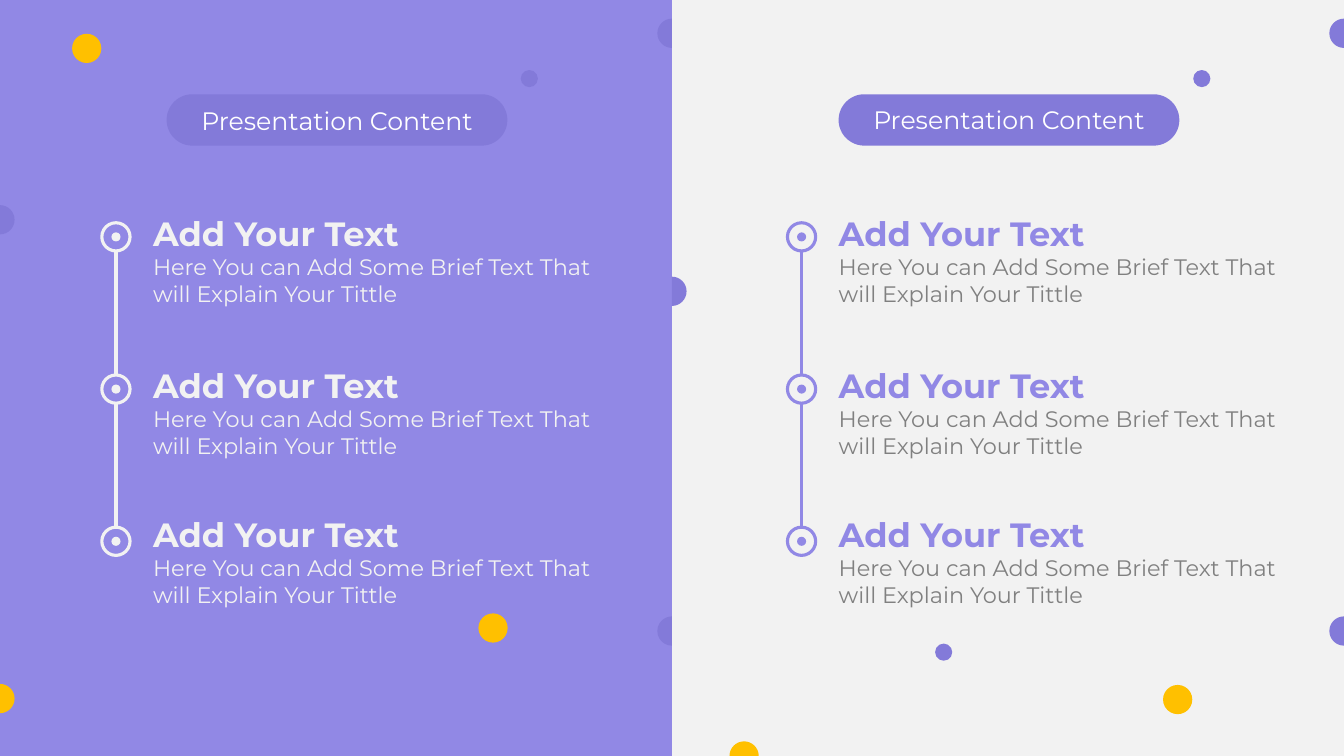
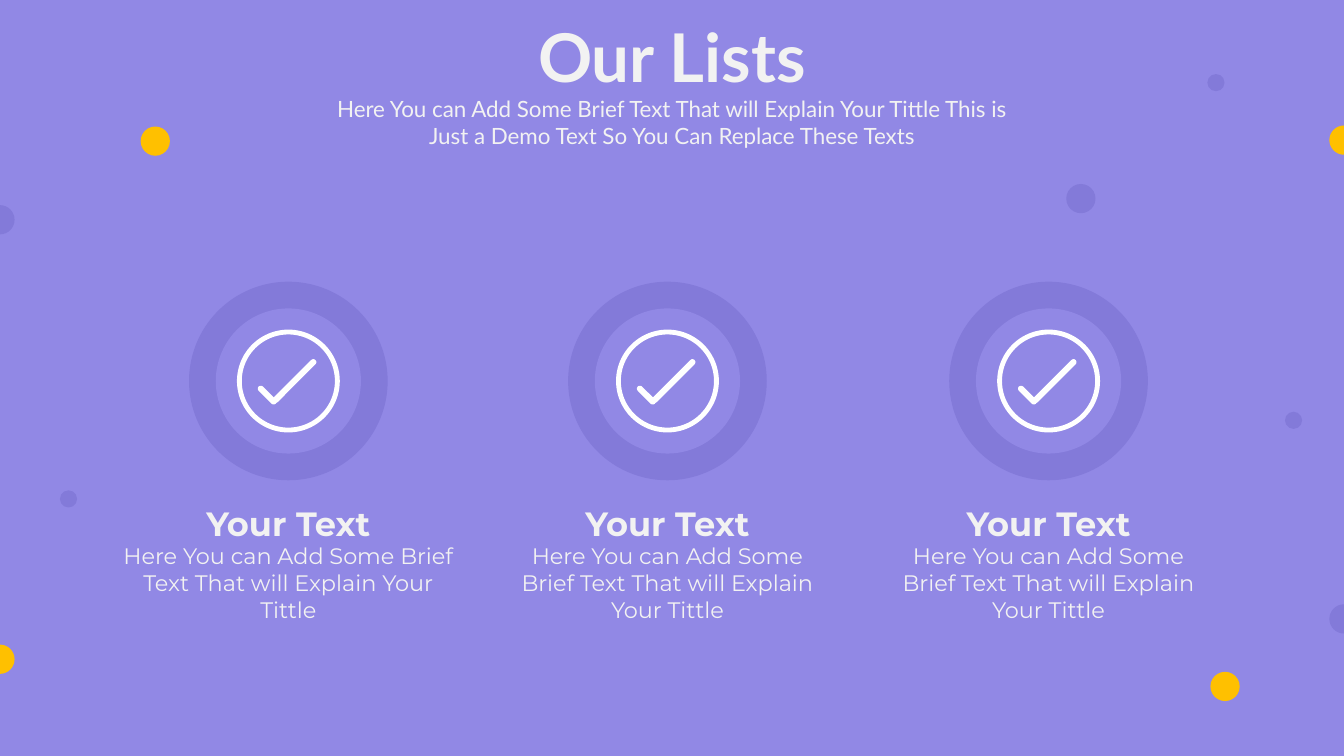
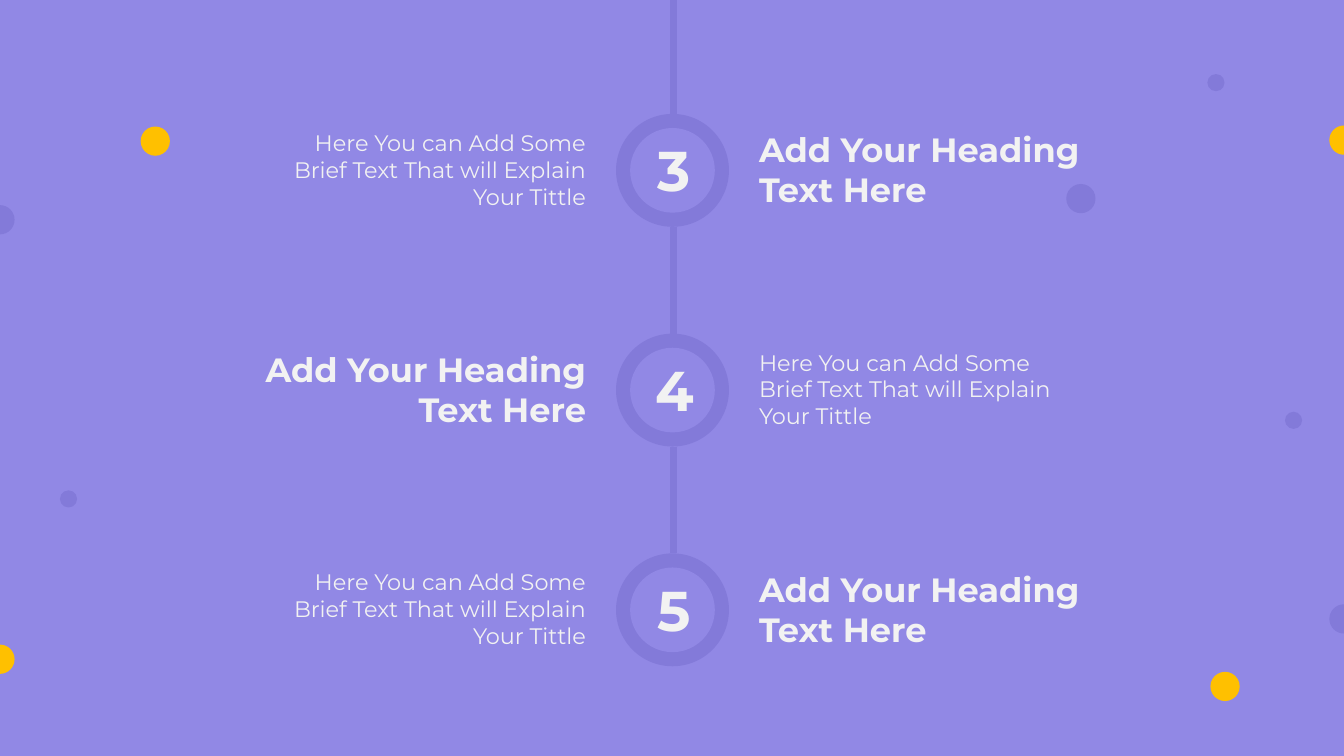
"""Build three purple list and timeline slides."""
from lxml import etree
from pptx import Presentation
from pptx.dml.color import RGBColor
from pptx.enum.shapes import MSO_CONNECTOR, MSO_SHAPE
from pptx.enum.text import MSO_ANCHOR, MSO_AUTO_SIZE, PP_ALIGN
from pptx.oxml.ns import qn
from pptx.util import Inches, Pt

WIDTH, HEIGHT = 13.33, 7.5
PURPLE, DARK, PALE, WHITE, GREY, YELLOW = "9188E5", "837AD9", "F2F2F2", "FFFFFF", "808080", "FFC000"
LEFT, CENTER, RIGHT = PP_ALIGN.LEFT, PP_ALIGN.CENTER, PP_ALIGN.RIGHT
OVAL, PILL, DONUT, RECTANGLE = (
    MSO_SHAPE.OVAL, MSO_SHAPE.ROUNDED_RECTANGLE, MSO_SHAPE.DONUT, MSO_SHAPE.RECTANGLE)
TOP, FIT, STRAIGHT = MSO_ANCHOR.TOP, MSO_AUTO_SIZE.SHAPE_TO_FIT_TEXT, MSO_CONNECTOR.STRAIGHT
STYLES = {
    "title": {"name": "Lato", "size": Pt(48), "bold": True},
    "subtitle": {"name": "Lato", "size": Pt(16), "bold": False},
    "label": {"name": "Montserrat", "size": Pt(18), "bold": False},
    "heading": {"name": "Montserrat", "size": Pt(24), "bold": True},
    "body": {"name": "Montserrat", "size": Pt(16), "bold": False},
    "number": {"name": "Montserrat", "size": Pt(40), "bold": True},
}
BRIEF = "Here You can Add Some Brief Text That will Explain Your Tittle"
BIG, SMALL = 0.29, 0.17
FACING_RIGHT, FACING_LEFT, FACING_UP = (1, 0), (-1, 0), (0, -1)
DOME_OUTLINE = ((-1, 0), (1, 0), (1, 0.55), (0.55, 1), (0, 1), (-0.55, 1), (-1, 0.55), (-1, 0))


def add_figure(slide, kind, center_x, center_y, width, height, fill=None, line=None, adjust=None):
    """Add a preset shape around its centre."""
    shape = slide.shapes.add_shape(
        kind, Inches(center_x - width / 2), Inches(center_y - height / 2), Inches(width), Inches(height))
    shape.shadow.inherit = False
    if adjust is not None:
        shape.adjustments[0] = adjust
    if fill:
        shape.fill.solid()
        shape.fill.fore_color.rgb = RGBColor.from_string(fill)
    else:
        shape.fill.background()
    if line:
        shape.line.color.rgb = RGBColor.from_string(line)
        shape.line.width = Pt(2.25)
    else:
        shape.line.fill.background()
    return shape


def add_text(slide, box, text, style, color=PALE, align=LEFT, placeholder=None):
    """Write one styled paragraph in a text box or placeholder, in front of the rest."""
    shape = slide.shapes.add_textbox(0, 0, 0, 0) if placeholder is None else placeholder
    slide.shapes.element.append(shape.element)
    for name, length in zip(("left", "top", "width", "height"), box):
        setattr(shape, name, Inches(length))
    frame = shape.text_frame
    for name, value in {"word_wrap": True, "auto_size": FIT, "vertical_anchor": TOP}.items():
        setattr(frame, name, value)
    paragraph = frame.paragraphs[0]
    paragraph.alignment = align
    paragraph.space_before = Pt(0)
    run = paragraph.add_run()
    run.text = text
    for name, value in STYLES[style].items():
        setattr(run.font, name, value)
    run.font.color.rgb = RGBColor.from_string(color)


presentation = Presentation()
presentation.slide_width = Inches(WIDTH)
presentation.slide_height = Inches(HEIGHT)
slides = []
for layout, background in ((5, PALE), (0, PURPLE), (6, PURPLE)):
    slide = presentation.slides.add_slide(presentation.slide_layouts[layout])
    slide.background.fill.solid()
    slide.background.fill.fore_color.rgb = RGBColor.from_string(background)
    slides.append(slide)
contents, lists, timeline = slides
spines = []

add_figure(contents, RECTANGLE, WIDTH / 4, HEIGHT / 2, WIDTH / 2, HEIGHT, PURPLE)
panels = (
    (WIDTH / 4, 1.15, PALE, PALE, contents.shapes.title),
    (WIDTH * 3 / 4, 7.95, PURPLE, GREY, None),
)
for pill_x, marker_x, accent, body_color, placeholder in panels:
    add_figure(contents, PILL, pill_x + 0.01, 1.19, 3.38, 0.51, DARK, adjust=0.5)
    add_text(contents, (pill_x - 1.62, 0.99, 3.26, 0.4), "Presentation Content", "label",
             WHITE, CENTER, placeholder)
    for row, text_top in enumerate((2.06, 3.57, 5.05)):
        marker_y = 2.35 + 1.51 * row
        add_figure(contents, OVAL, marker_x, marker_y, 0.09, 0.09, accent)
        add_figure(contents, OVAL, marker_x, marker_y, 0.28, 0.28, line=accent)
        if row:
            spines.append((contents, marker_x, marker_y - 1.37, marker_y - 0.14, accent, 2.25))
        text_left = marker_x + 0.27
        add_text(contents, (text_left, text_top, 3.62 if row == 0 else 2.78, 0.5),
                 "Add Your Text", "heading", accent)
        add_text(contents, (text_left, text_top + 0.4, 4.55, 0.64), BRIEF, "body", body_color)

for center_x, body_width in ((2.86, 3.49), (6.62, 3.41), (10.4, 3.41)):
    center_y = 3.78
    add_figure(lists, OVAL, center_x, center_y, 1.97, 1.97, DARK)
    add_figure(lists, OVAL, center_x, center_y, 1.44, 1.44, PURPLE)
    add_figure(lists, DONUT, center_x, center_y, 1.02, 1.02, WHITE, adjust=0.047)
    for shift_x, shift_y, length, angle in ((-0.21, 0.14, 0.24, 135), (0.06, 0, 0.59, 225)):
        stroke = add_figure(lists, PILL, center_x + shift_x, center_y + shift_y, 0.06, length,
                            WHITE, adjust=0.5)
        stroke.rotation = angle
    add_text(lists, (center_x - 1.13, 4.94, 2.26, 0.5), "Your Text", "heading", PALE, CENTER)
    add_text(lists, (center_x - body_width / 2, 5.33, body_width, 0.91), BRIEF, "body", PALE, CENTER)
add_figure(lists, RECTANGLE, 6.68, 6.95, 10.58, 1.1, PURPLE)
add_text(lists, (4.02, 0.1, 5.29, 0.91), "Our Lists", "title", PALE, CENTER, lists.shapes.title)
add_text(lists, (3.19, 0.89, 6.95, 0.64),
         BRIEF + " This is Just a Demo Text So You Can Replace These Texts",
         "subtitle", PALE, CENTER, lists.placeholders[1])

for margin_x, margin_width in ((1.19, 2.38), (12.1, 2.46)):
    add_figure(timeline, RECTANGLE, margin_x, HEIGHT / 2, margin_width, HEIGHT, PURPLE)
disc, pitch = 1.12, 2.18
for row in range(3):
    center_y = 1.69 + pitch * row
    spine_top = center_y - pitch + disc / 2 if row else 0
    spines.append((timeline, 6.68, spine_top, center_y - disc / 2, DARK, 4.5))
    add_figure(timeline, OVAL, 6.67, center_y, disc, disc, DARK)
    add_figure(timeline, OVAL, 6.67, center_y, 0.84, 0.84, PURPLE)
    add_text(timeline, (6.38, center_y - 0.39, 0.62, 0.77), str(row + 3), "number", PALE, CENTER)
    heading, body = ("Add Your Heading Text Here", "heading", 3.62), (BRIEF, "body", 3.36)
    left_text, right_text = (heading, body) if row % 2 else (body, heading)
    for (text, style, width), align in ((left_text, RIGHT), (right_text, LEFT)):
        left = 5.91 - width if align == RIGHT else 7.43
        add_text(timeline, (left, center_y - 0.46, width, 0.91), text, style, PALE, align)

for slide, x, top, bottom, color, weight in spines:
    spine = slide.shapes.add_connector(STRAIGHT, Inches(x), Inches(top), Inches(x), Inches(bottom))
    spine.line.color.rgb = RGBColor.from_string(color)
    spine.line.width = Pt(weight)
    etree.SubElement(spine.element.spPr, qn("a:effectLst"))

contents_dots = (
    (0.86, 0.48, BIG, YELLOW), (5.25, 0.78, SMALL, DARK), (4.89, 6.23, BIG, YELLOW),
    (9.36, 6.47, SMALL, DARK), (11.92, 0.78, SMALL, DARK), (11.68, 6.94, BIG, YELLOW))
contents_domes = (
    (0, 6.93, FACING_RIGHT, YELLOW), (0, 2.18, FACING_RIGHT, DARK),
    (WIDTH / 2, 0.33, FACING_LEFT, DARK), (WIDTH / 2, 6.26, FACING_LEFT, DARK),
    (WIDTH / 2, 2.89, FACING_RIGHT, DARK), (7.38, HEIGHT, FACING_UP, YELLOW),
    (WIDTH, 0.33, FACING_LEFT, DARK), (WIDTH, 6.26, FACING_LEFT, DARK))
purple_dots = (
    (0.68, 4.95, SMALL, DARK), (1.54, 1.4, BIG, YELLOW), (12.83, 4.17, SMALL, DARK),
    (12.06, 0.82, SMALL, DARK), (12.15, 6.81, BIG, YELLOW), (10.72, 1.97, BIG, DARK))
purple_domes = (
    (0, 6.54, FACING_RIGHT, YELLOW), (0, 2.18, FACING_RIGHT, DARK),
    (WIDTH, 6.14, FACING_LEFT, DARK), (WIDTH, 1.39, FACING_LEFT, YELLOW))
decorations = (
    (contents, contents_dots, contents_domes),
    (lists, purple_dots, purple_domes),
    (timeline, purple_dots, purple_domes),
)
radius = BIG / 2
for slide, dots, domes in decorations:
    for x, y, size, color in dots:
        add_figure(slide, OVAL, x, y, size, size, color)
    for x, y, (facing_x, facing_y), color in domes:
        points = [(Inches(x + radius * (out * facing_x - along * facing_y)),
                   Inches(y + radius * (out * facing_y + along * facing_x)))
                  for along, out in DOME_OUTLINE]
        builder = slide.shapes.build_freeform(*points[0])
        builder.add_line_segments(points[1:], close=True)
        dome = builder.convert_to_shape()
        segments = list(dome.element.iter(qn("a:lnTo")))[1:]
        for start in range(0, len(segments), 3):
            curve = etree.Element(qn("a:cubicBezTo"))
            segments[start].addprevious(curve)
            for segment in segments[start:start + 3]:
                curve.append(segment[0])
                segment.getparent().remove(segment)
        dome.shadow.inherit = False
        dome.fill.solid()
        dome.fill.fore_color.rgb = RGBColor.from_string(color)
        dome.line.fill.background()

presentation.save("out.pptx")
